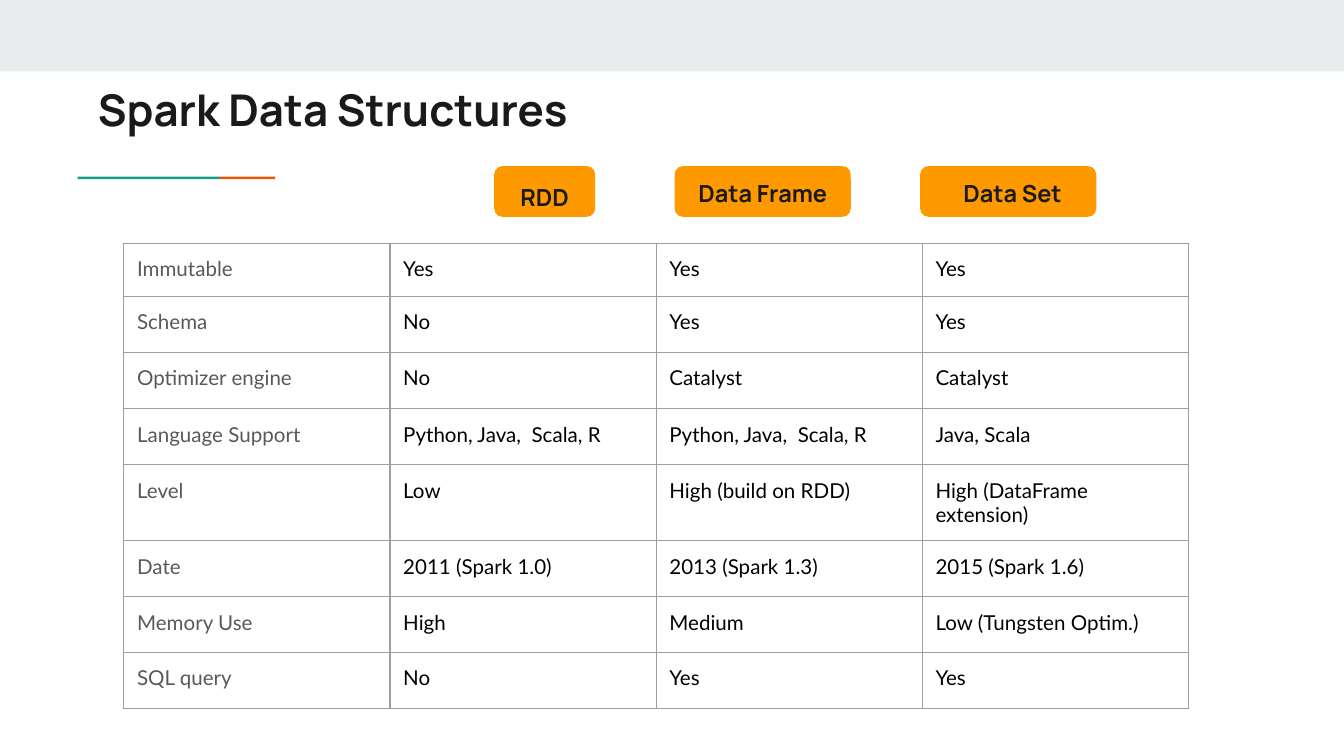
from pptx import Presentation
from pptx.dml.color import RGBColor
from pptx.enum import shapes, text
from pptx.oxml import parse_xml
from pptx.oxml.ns import nsdecls
from pptx.util import Cm, Pt

MIST = RGBColor(0xE9, 0xED, 0xEE)
TEAL = RGBColor(0x1A, 0x99, 0x88)
RUST = RGBColor(0xEB, 0x56, 0x00)
AMBER = RGBColor(0xFF, 0x99, 0x00)
INK = RGBColor(0x1A, 0x1A, 0x1A)
GREY = RGBColor(0x59, 0x59, 0x59)
BLACK = RGBColor(0, 0, 0)
RULE = RGBColor(0x9E, 0x9E, 0x9E)

HEAD, BODY = "Manrope", "Lato"
WIDE, HIGH = 25.4, 14.29
INSET = 0.25
COL, ROW = 5.03, 1.06

# label, left, width, inset left, inset top
BADGES = [
    ("RDD", 9.34, 1.91, 0, 0.2),
    ("Data Frame", 12.75, 3.33, 0, 0.08),
    ("Data Set", 17.39, 3.33, 0.16, 0.08),
]
TRAITS = [
    ("Immutable", "Yes", "Yes", "Yes"),
    ("Schema", "No", "Yes", "Yes"),
    ("Optimizer engine", "No", "Catalyst", "Catalyst"),
    ("Language Support", "Python, Java,  Scala, R", "Python, Java,  Scala, R",
     "Java, Scala"),
    ("Level", "Low", "High (build on RDD)", "High (DataFrame extension)"),
    ("Date", "2011 (Spark 1.0)", "2013 (Spark 1.3)", "2015 (Spark 1.6)"),
    ("Memory Use", "High", "Medium", "Low (Tungsten Optim.)"),
]
QUERY = [("SQL query", "No", "Yes", "Yes")]


def write(frame, words, size=11, font=BODY, color=BLACK, bold=False,
          align=text.PP_ALIGN.LEFT):
    para = frame.paragraphs[0]
    para.alignment = align
    run = para.add_run()
    run.text = words
    run.font.size, run.font.name, run.font.bold = Pt(size), font, bold
    run.font.color.rgb = color


def block(slide, left, top, width, height, color,
          kind=shapes.MSO_SHAPE.RECTANGLE):
    shape = slide.shapes.add_shape(kind, Cm(left), Cm(top), Cm(width), Cm(height))
    shape.shadow.inherit = False
    shape.fill.solid()
    shape.fill.fore_color.rgb = color
    shape.line.fill.background()
    return shape


def accent(slide, left, top, width, height):
    """Two-colour rule below the title."""
    split = width * 0.72
    block(slide, left, top, split, height, TEAL)
    block(slide, left + split, top, width - split, height, RUST)


def title(slide, left, top, width, height):
    shape = slide.shapes.title
    shape.left, shape.top = Cm(left), Cm(top)
    shape.width, shape.height = Cm(width), Cm(height)
    frame = shape.text_frame
    frame.margin_left = frame.margin_right = Cm(INSET)
    frame.margin_top = frame.margin_bottom = Cm(INSET)
    frame.vertical_anchor = text.MSO_ANCHOR.TOP
    frame.auto_size = text.MSO_AUTO_SIZE.NONE
    write(frame, "Spark Data Structures", size=23.4, font=HEAD, color=INK, bold=True)


def badges(slide, top, height):
    for label, left, width, shift, drop in BADGES:
        shape = block(slide, left, top, width, height, AMBER,
                      shapes.MSO_SHAPE.ROUNDED_RECTANGLE)
        frame = shape.text_frame
        frame.word_wrap = False
        frame.vertical_anchor = text.MSO_ANCHOR.MIDDLE
        frame.margin_left, frame.margin_top = Cm(shift), Cm(drop)
        frame.margin_right = frame.margin_bottom = 0
        write(frame, label, size=12.6, font=HEAD, color=INK, bold=True,
              align=text.PP_ALIGN.CENTER)


def border(cell):
    props = cell._tc.get_or_add_tcPr()
    for spot, side in enumerate("LRTB"):
        props.insert(spot, parse_xml(
            f'<a:ln{side} {nsdecls("a")} w="{Pt(0.75)}"><a:solidFill>'
            f'<a:srgbClr val="{RULE}"/></a:solidFill></a:ln{side}>'))


def grid(slide, left, top, rows, heights):
    count = len(rows[0])
    table = slide.shapes.add_table(
        len(rows), count, Cm(left), Cm(top),
        Cm(COL * count), Cm(sum(heights))).table
    table.first_row = table.horz_banding = False
    for col in table.columns:
        col.width = Cm(COL)
    for r, (row, height) in enumerate(zip(rows, heights)):
        table.rows[r].height = Cm(height)
        for c, words in enumerate(row):
            cell = table.cell(r, c)
            cell.margin_left = cell.margin_right = Cm(INSET)
            cell.margin_top = cell.margin_bottom = Cm(INSET)
            cell.fill.background()
            border(cell)
            write(cell.text_frame, words, color=BLACK if c else GREY)


def main():
    deck = Presentation()
    deck.slide_width, deck.slide_height = Cm(WIDE), Cm(HIGH)
    slide = deck.slides.add_slide(deck.slide_layouts[5])
    block(slide, 0, 0, WIDE, 1.35, MIST)
    accent(slide, 1.47, 3.34, 3.73, 0.05)
    title(slide, 1.6, 1.32, 10.82, 1.3)
    badges(slide, 3.14, 0.96)
    grid(slide, 2.34, 4.6, TRAITS, [1.0] + [ROW] * 3 + [1.44] + [ROW] * 2)
    grid(slide, 2.34, 12.33, QUERY, [ROW])
    deck.save("out.pptx")


if __name__ == "__main__":
    main()
